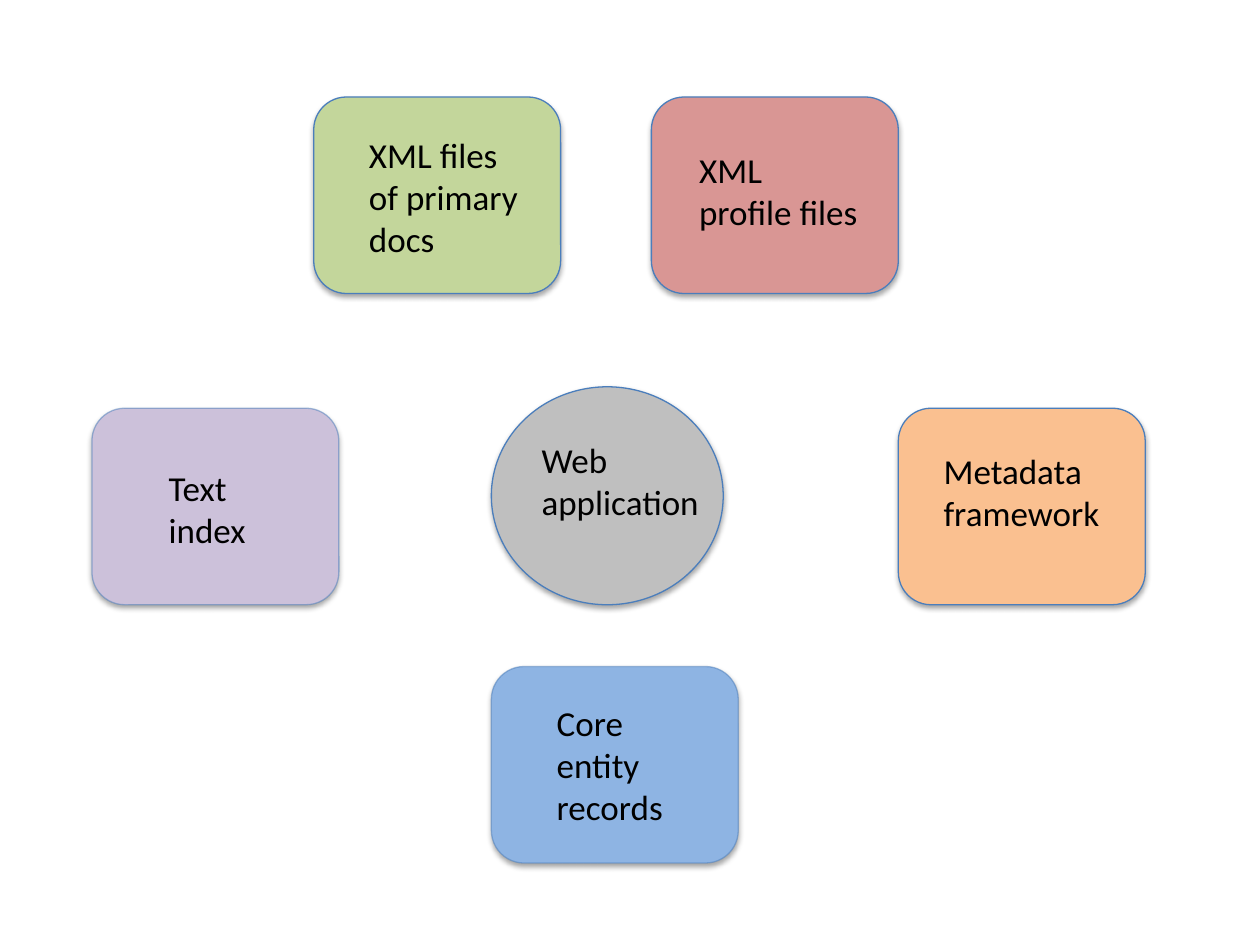
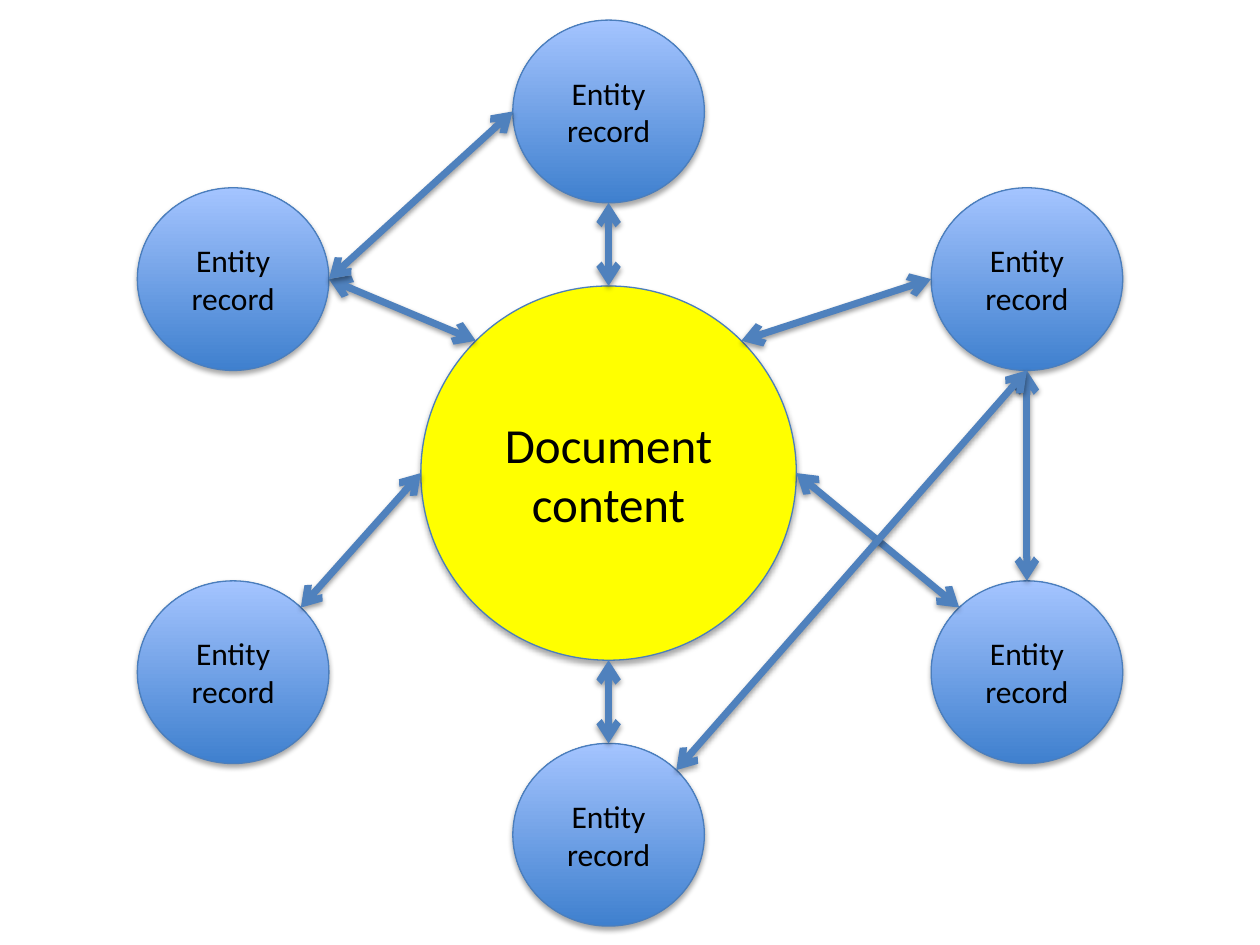
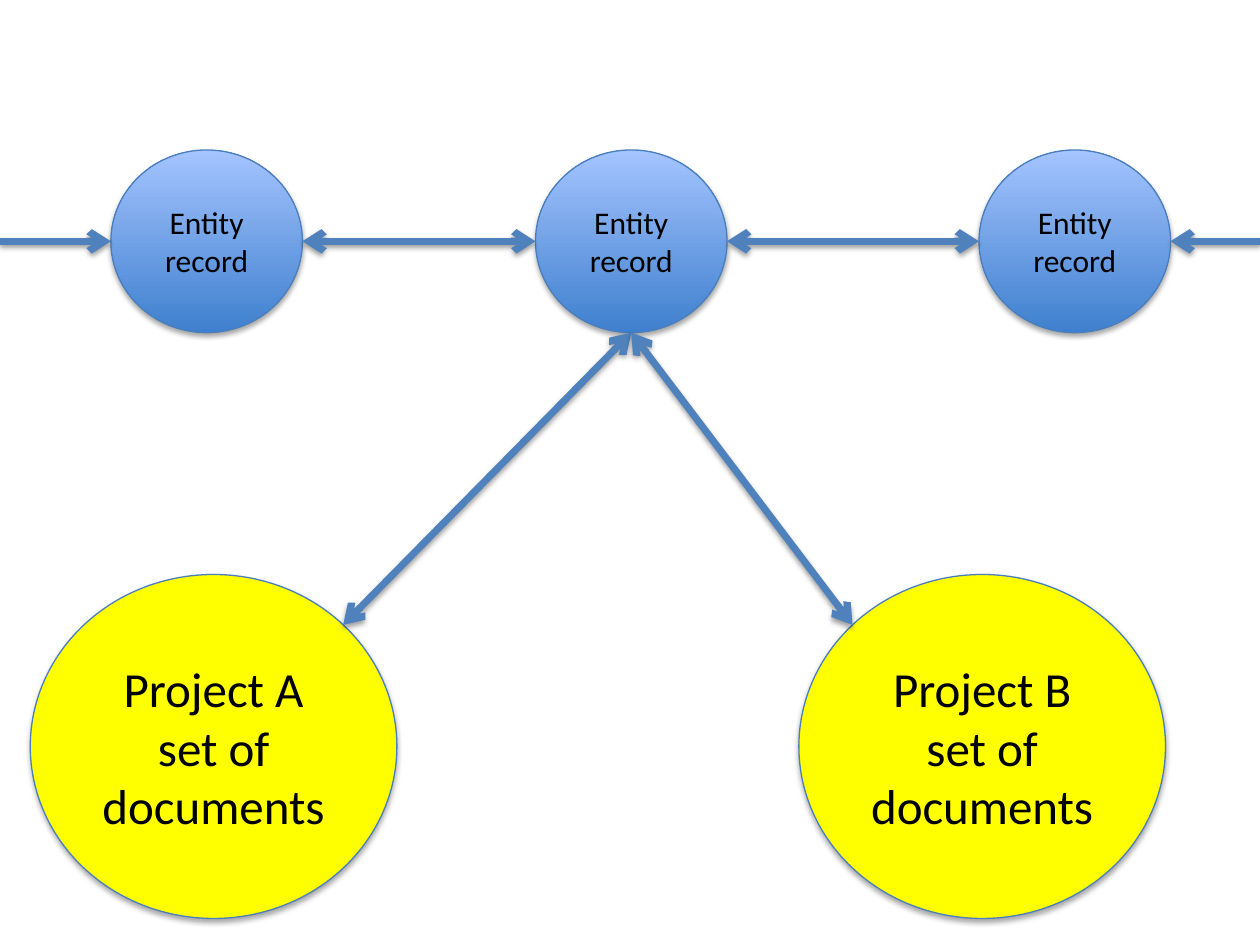
import math

from lxml import etree
from pptx import Presentation
from pptx import util as u
from pptx.dml.color import RGBColor
from pptx.enum import shapes, text
from pptx.oxml.ns import qn

# Shared look
FONT = "Calibri"
BLACK = "000000"
OUTLINE = "4B7EBC"
ARROW = "4F81BD"
YELLOW = "FFFF00"
GREY = "BFBFBF"
RECORD_BOTTOM, RECORD_TOP = "3F80CE", "A4C4FF"

BOX_SIZE = (1.96, 1.56)
RECORD_SIZE = (1.52, 1.45)

# Angles of the points where arrows meet an ellipse, clockwise from the right
RIGHT, BOTTOM_RIGHT, BOTTOM, LEFT = 0, 45, 90, 180
TOP_LEFT, TOP, TOP_RIGHT = 225, 270, 315

# Left, top, fill, outline opacity; label left, top, width, height, text
COMPONENTS = [
    ((2.49, 0.77), "C3D69B", 100, (2.83, 1.01, 1.48, 1.11), "XML files of primary docs"),
    ((5.17, 0.77), "D99694", 100, (5.45, 1.13, 1.48, 0.77), "XML profile files"),
    ((0.73, 3.24), "CCC1DA", 50, (1.24, 3.65, 1.25, 0.77), "Text index"),
    ((7.13, 3.24), "FAC090", 100, (7.39, 3.52, 1.58, 0.77), "Metadata framework"),
    ((3.9, 5.29), "8EB4E3", 50, (4.32, 5.52, 1.25, 1.11), "Core entity records"),
]


def color(value):
    return RGBColor.from_string(value)


def add_shadow(shape, opacity, distance):
    """Give a shape or connector a soft shadow straight below it."""
    effects = etree.SubElement(shape._element.spPr, qn("a:effectLst"))
    shadow = etree.SubElement(
        effects, qn("a:outerShdw"), blurRad=str(u.Pt(3.1)),
        dist=str(u.Pt(distance)), dir="5400000", rotWithShape="0")
    black = etree.SubElement(shadow, qn("a:srgbClr"), val=BLACK)
    etree.SubElement(black, qn("a:alpha"), val=str(opacity * 1000))


def format_text(frame, size, alignment):
    for paragraph in frame.paragraphs:
        paragraph.alignment = alignment
        for run in paragraph.runs:
            run.font.name = FONT
            run.font.size = u.Pt(size)
            run.font.color.rgb = color(BLACK)


def add_figure(slide, kind, position, size, fill=None, opacity=100):
    """Add an outlined shape; without a fill it gets the record gradient."""
    shape = slide.shapes.add_shape(kind, *map(u.Inches, position + size))
    if fill:
        shape.fill.solid()
        shape.fill.fore_color.rgb = color(fill)
    else:
        shape.fill.gradient()
        shape.fill.gradient_angle = 90
        for stop, value in zip(shape.fill.gradient_stops, (RECORD_BOTTOM, RECORD_TOP)):
            stop.color.rgb = color(value)
    shape.line.color.rgb = color(OUTLINE)
    shape.line.width = u.Pt(0.75)
    if opacity < 100:
        outline = shape.line._ln.find(".//" + qn("a:srgbClr"))
        etree.SubElement(outline, qn("a:alpha"), val=str(opacity * 1000))
    add_shadow(shape, 35, 1.8)
    return shape


def add_label(slide, bounds, words):
    label = slide.shapes.add_textbox(*map(u.Inches, bounds))
    label.text_frame.word_wrap = True
    label.text_frame.text = words
    format_text(label.text_frame, 20, text.PP_ALIGN.LEFT)


def add_circle(slide, position, size, words, font_size, fill=None):
    circle = add_figure(slide, shapes.MSO_SHAPE.OVAL, position, size, fill)
    frame = circle.text_frame
    frame.word_wrap = True
    frame.vertical_anchor = text.MSO_ANCHOR.MIDDLE
    frame.text = words
    format_text(frame, font_size, text.PP_ALIGN.CENTER)
    return circle


def add_record(slide, left, top):
    return add_circle(slide, (left, top), RECORD_SIZE, "Entity\nrecord", 18)


def edge(circle, angle):
    """Return the point on a circle's outline at an angle."""
    turn = math.radians(angle)
    return (round(circle.left + circle.width / 2 * (1 + math.cos(turn))),
            round(circle.top + circle.height / 2 * (1 + math.sin(turn))))


def add_arrow(slide, start, end, ends=("headEnd", "tailEnd")):
    arrow = slide.shapes.add_connector(shapes.MSO_CONNECTOR.STRAIGHT, *start, *end)
    arrow.line.color.rgb = color(ARROW)
    arrow.line.width = u.Pt(4)
    for name in ends:
        etree.SubElement(arrow.line._ln, qn("a:" + name), type="arrow")
    add_shadow(arrow, 38, 1.6)


def build_components(slide):
    for position, fill, opacity, label_bounds, words in COMPONENTS:
        add_figure(slide, shapes.MSO_SHAPE.ROUNDED_RECTANGLE, position, BOX_SIZE,
                   fill, opacity)
        add_label(slide, label_bounds, words)
    add_figure(slide, shapes.MSO_SHAPE.OVAL, (3.9, 3.07), (1.84, 1.73), GREY)
    add_label(slide, (4.2, 3.43, 1.54, 0.77), "Web application")


def build_document(slide):
    document = add_circle(slide, (3.34, 2.27), (2.98, 2.97), "Document content",
                          28, YELLOW)
    top = add_record(slide, 4.07, 0.16)
    upper_left, upper_right = [add_record(slide, left, 1.49) for left in (1.09, 7.39)]
    bottom = add_record(slide, 4.07, 5.9)
    lower_left, lower_right = [add_record(slide, left, 4.61) for left in (1.09, 7.39)]

    links = [
        (document, TOP_RIGHT, upper_right, LEFT),
        (document, RIGHT, lower_right, TOP_LEFT),
        (bottom, TOP, document, BOTTOM),
        (document, TOP, top, BOTTOM),
        (upper_left, RIGHT, document, TOP_LEFT),
        (lower_left, TOP_RIGHT, document, LEFT),
        (lower_right, TOP, upper_right, BOTTOM),
        (bottom, TOP_RIGHT, upper_right, BOTTOM),
        (upper_left, RIGHT, top, LEFT),
    ]
    for start, start_angle, end, end_angle in links:
        add_arrow(slide, edge(start, start_angle), edge(end, end_angle))


def build_projects(slide, slide_width):
    project_a, project_b = [
        add_circle(slide, (left, 4.56), (2.91, 2.73),
                   f"Project {letter} set of documents", 28, YELLOW)
        for left, letter in ((0.24, "A"), (6.34, "B"))]
    first, middle, last = [add_record(slide, left, 1.19) for left in (0.88, 4.25, 7.77)]

    # Links between neighbours and to both projects
    add_arrow(slide, edge(middle, RIGHT), edge(last, LEFT))
    add_arrow(slide, edge(first, RIGHT), edge(middle, LEFT))
    add_arrow(slide, edge(project_a, TOP_RIGHT), edge(middle, BOTTOM))
    add_arrow(slide, edge(middle, BOTTOM), edge(project_b, TOP_LEFT))

    # Links that come in from the slide edges
    for side, record, angle in ((0, first, LEFT), (slide_width, last, RIGHT)):
        end = edge(record, angle)
        add_arrow(slide, (side, end[1]), end, ("tailEnd",))


def main():
    presentation = Presentation()
    presentation.slide_width = u.Inches(10)
    presentation.slide_height = u.Inches(7.5)
    blank = presentation.slide_layouts[6]
    build_components(presentation.slides.add_slide(blank))
    build_document(presentation.slides.add_slide(blank))
    build_projects(presentation.slides.add_slide(blank), presentation.slide_width)
    presentation.save("out.pptx")


if __name__ == "__main__":
    main()
